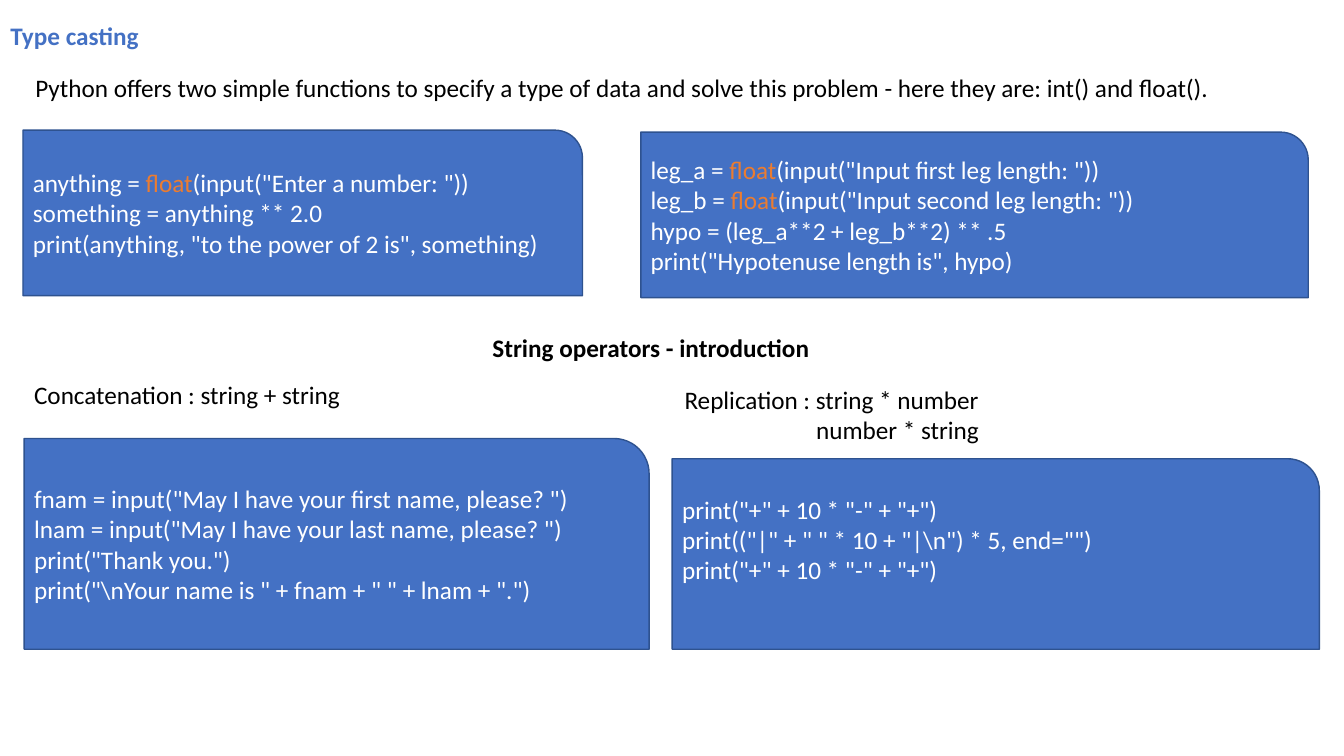
from pptx import Presentation
from pptx.util import Cm, Pt
from pptx.dml.color import RGBColor as Rgb
from pptx.enum.shapes import MSO_SHAPE as Kind
from pptx.enum.text import PP_ALIGN as Align, MSO_ANCHOR as Anchor, MSO_AUTO_SIZE as Auto
from lxml.etree import SubElement as Sub
from pptx.oxml.ns import qn

BLUE, EDGE, ORANGE = "4471C4", "2E528F", "EC7C30"
BLACK, WHITE = "000000", "FFFFFF"
PAD = 0.25  # left inset of the code boxes

POWER = """anything = float(input("Enter a number: "))
something = anything ** 2.0
print(anything, "to the power of 2 is", something)"""

HYPO = """leg_a = float(input("Input first leg length: "))
leg_b = float(input("Input second leg length: "))
hypo = (leg_a**2 + leg_b**2) ** .5
print("Hypotenuse length is", hypo)"""

NAMES = r"""fnam = input("May I have your first name, please? ")
lnam = input("May I have your last name, please? ")
print("Thank you.")
print("\nYour name is " + fnam + " " + lnam + ".")"""

FRAME = r"""print("+" + 10 * "-" + "+")
print(("|" + " " * 10 + "|\n") * 5, end="")
print("+" + 10 * "-" + "+")"""


def paint(part, color):
    """Give a fill, or a font's colour, a solid hex colour."""
    part.solid()
    part.fore_color.rgb = Rgb.from_string(color)


def style(run, color, bold=False):
    font = run.font
    font.name, font.size, font.bold = "Calibri", Pt(18), bold
    paint(font.fill, color)


def place(shape, left, top, width, height):
    shape.left, shape.top = Cm(left), Cm(top)
    shape.width, shape.height = Cm(width), Cm(height)


def write(shape, text, color=BLACK, bold=False, align=Align.LEFT):
    """Fill a frame with plain lines that start at its top left corner."""
    frame = shape.text_frame
    frame.text = text
    frame.word_wrap, frame.auto_size = True, Auto.NONE
    frame.vertical_anchor = Anchor.TOP
    frame.margin_left = frame.margin_right = 0
    frame.margin_top = frame.margin_bottom = 0
    for para in frame.paragraphs:
        para.alignment, para.space_before = align, Pt(0)
        for run in para.runs:
            style(run, color, bold)


def label(slide, text, box, **look):
    write(slide.shapes.add_textbox(*map(Cm, box)), text, **look)


def code(slide, text, box, foot=0):
    """Draw a code box; foot is the inset below the text."""
    shape = slide.shapes.add_shape(Kind.ROUND_1_RECTANGLE, *map(Cm, box))
    shape.shadow.inherit = False
    paint(shape.fill, BLUE)
    paint(shape.line.fill, EDGE)
    shape.line.width = Pt(1)
    frame = shape.text_frame
    frame.word_wrap, frame.vertical_anchor = True, Anchor.MIDDLE
    frame.margin_left, frame.margin_right = Cm(PAD), 0
    frame.margin_top, frame.margin_bottom = 0, Cm(foot)
    frame.text = text
    for para in frame.paragraphs:
        para.alignment = Align.LEFT
        head, word, tail = para.text.partition("float")
        para.text = head
        for piece in filter(None, (word, tail)):
            para.add_run().text = piece
        for run in para.runs:
            style(run, ORANGE if run.text == "float" else WHITE)


def intro(slide, left, top):
    """Title and the sentence below it."""
    title, body = slide.placeholders
    place(title, left, top, 12, 0.9)
    write(title, "Type casting", color=BLUE, bold=True)
    place(body, left + 0.63, top + 1.31, 31.5, 0.9)
    write(body, "Python offers two simple functions to specify a type of data "
                "and solve this problem - here they are: int() and float().")
    props = body.text_frame.paragraphs[0]._p.get_or_add_pPr()
    props.set("marL", "0")
    props.set("indent", "0")
    Sub(props, qn("a:buNone"))


def casts(slide, left, top):
    """Two code boxes side by side."""
    code(slide, POWER, (left, top, 14.1, 4.17))
    code(slide, HYPO, (left + 15.57, top + 0.05, 16.82, 4.17))


def strings(slide, left, top):
    """Heading, then a label over a code box in each column."""
    label(slide, "String operators - introduction",
          (left + 11.8, top, 9, 0.9), bold=True)
    label(slide, "Concatenation : string + string",
          (left + PAD, top + 1.19, 9, 0.9))
    code(slide, NAMES, (left, top + 2.68, 15.75, 5.31))
    label(slide, "Replication : string * number\nnumber * string",
          (left + 16.3, top + 1.32, 7.76, 1.6), align=Align.RIGHT)
    code(slide, FRAME, (left + 16.33, top + 3.19, 16.31, 4.8), foot=0.73)


def main():
    deck = Presentation()
    deck.slide_width, deck.slide_height = Cm(33.87), Cm(19.05)
    slide = deck.slides.add_slide(deck.slide_layouts[1])
    intro(slide, 0.26, 0.52)
    casts(slide, 0.58, 3.28)
    strings(slide, 0.61, 8.37)
    deck.save("out.pptx")


if __name__ == "__main__":
    main()
